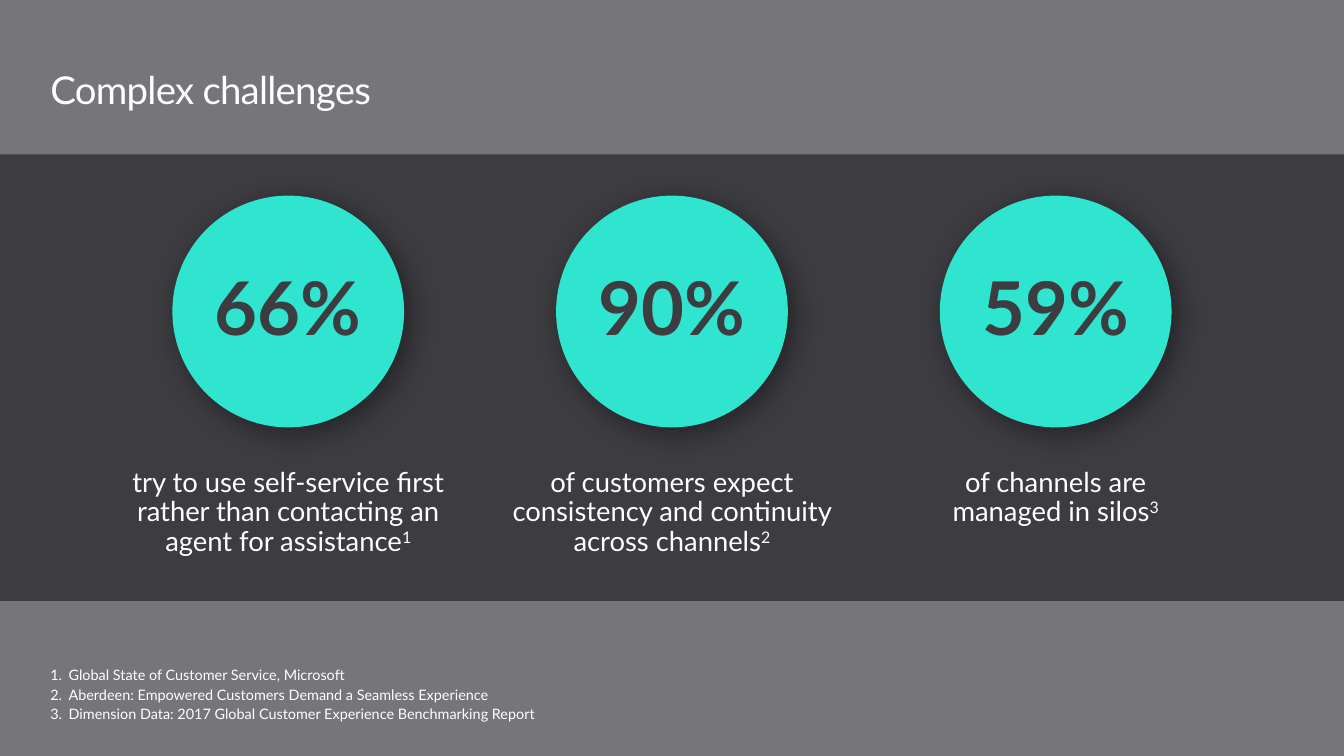
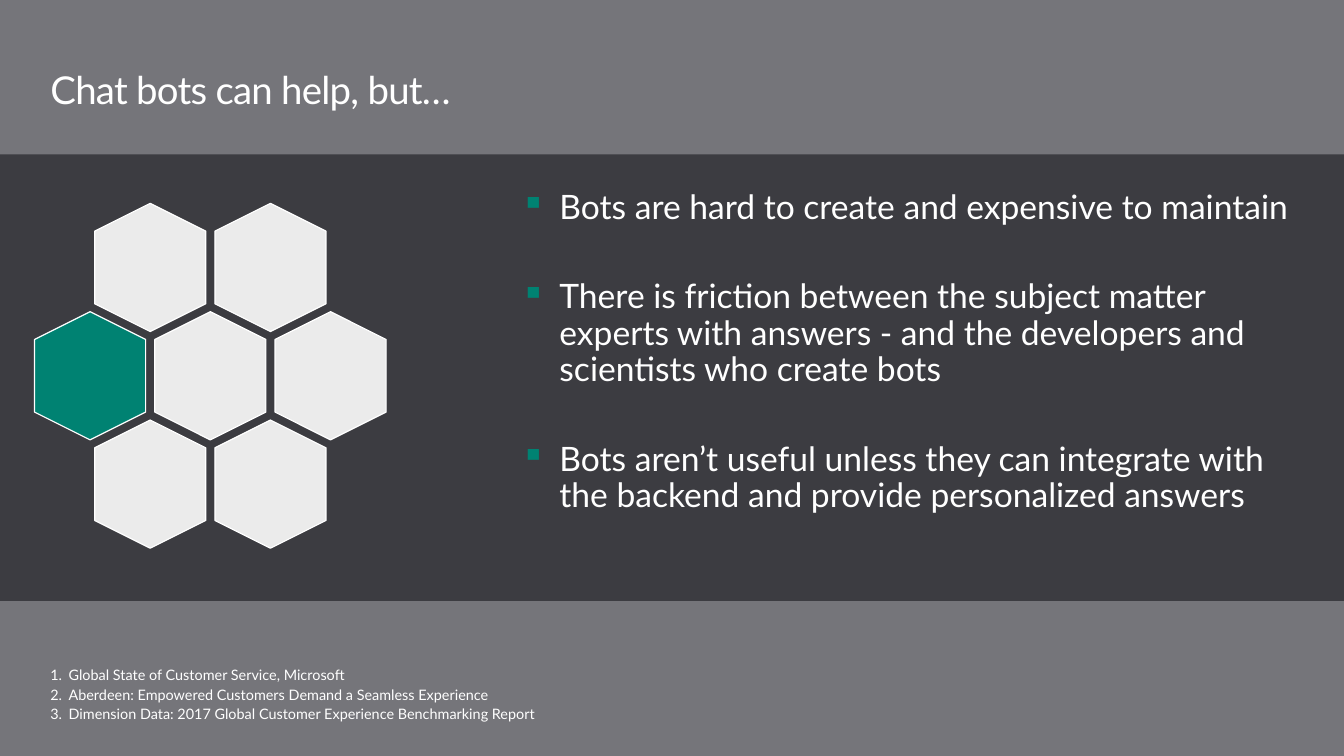
from lxml.etree import SubElement
from pptx import Presentation
from pptx.dml.color import RGBColor
from pptx.enum.shapes import MSO_SHAPE as Shape
from pptx.enum.text import MSO_ANCHOR as Anchor, MSO_AUTO_SIZE as AutoSize, PP_ALIGN as Align
from pptx.oxml.ns import qn
from pptx.util import Cm, Pt

# Content
CHALLENGES_TITLE = "Complex challenges"
STATISTICS = [  # figure, caption lines, reference number
    ("66%", ["try to use self-service first rather than contacting an agent for assistance"], "1"),
    ("90%", ["of customers expect consistency and continuity across channels"], "2"),
    ("59%", ["of channels are", "managed in silos"], "3"),
]
BOTS_TITLE = "Chat bots can help, but…"
BOT_PROBLEMS = [
    "Bots are hard to create and expensive to maintain",
    "There is friction between the subject matter experts with answers - "
    "and the developers and scientists who create bots",
    "Bots aren’t useful unless they can integrate with the backend "
    "and provide personalized answers",
]
REFERENCES = [
    "Global State of Customer Service, Microsoft",
    "Aberdeen: Empowered Customers Demand a Seamless Experience",
    "Dimension Data: 2017 Global Customer Experience Benchmarking Report",
]

# Shared style
COLORS = {
    "background": "75757A",
    "band": "3C3C41",
    "text": "FFFFFF",
    "circle": "30E5D0",
    "accent": "008272",
    "cell": "EBEBEB",
    "shadow": "000000",
}
FONT = "Lato"
SLIDE_WIDTH, SLIDE_HEIGHT = 33.87, 19.05
MARGIN = 1.27

# Statistics layout, in centimetres
CIRCLE_SIZE, CIRCLE_TOP, CIRCLE_PITCH = 5.84, 4.93, 9.67
CAPTION_WIDTH, CAPTION_TOP, CAPTION_HEIGHT = 8.84, 11.68, 2.5

# Honeycomb layout, in centimetres
HONEYCOMB_ROWS = [2, 3, 2]
HONEYCOMB_CENTER = (5.3, 9.47)
CELL_PITCH = (3.03, 2.73)
CELL_SIZE = (3.23, 2.8)
ACCENT_CELL = (1, 0)


def color(name):
    return RGBColor.from_string(COLORS[name])


def format_run(run, size, color_name="text", bold=False):
    run.font.name = FONT
    run.font.size = Pt(size)
    run.font.bold = bold
    run.font.color.rgb = color(color_name)


def set_margins(frame, horizontal=0, vertical=0):
    frame.margin_left = frame.margin_right = Cm(horizontal)
    frame.margin_top = frame.margin_bottom = Cm(vertical)


def add_shape(slide, kind, left, top, width, height, fill):
    shape = slide.shapes.add_shape(kind, Cm(left), Cm(top), Cm(width), Cm(height))
    shape.shadow.inherit = False
    shape.fill.solid()
    shape.fill.fore_color.rgb = color(fill)
    shape.line.fill.background()
    return shape


def add_text_frame(slide, left, top, width, height, horizontal=0, vertical=0):
    frame = slide.shapes.add_textbox(Cm(left), Cm(top), Cm(width), Cm(height)).text_frame
    frame.word_wrap = True
    set_margins(frame, horizontal, vertical)
    return frame


def add_list(frame, items, size, indent, gap, bullet, attributes, bullet_color=None):
    """Fill a frame with hanging list items separated by a gap in points."""
    for index, item in enumerate(items):
        paragraph = frame.paragraphs[0] if index == 0 else frame.add_paragraph()
        paragraph.text = item
        properties = paragraph._p.get_or_add_pPr()
        properties.set("marL", str(Cm(indent)))
        properties.set("indent", str(-Cm(indent)))
        if bullet_color:
            holder = SubElement(properties, qn("a:buClr"))
            SubElement(holder, qn("a:srgbClr"), val=COLORS[bullet_color])
        SubElement(properties, qn(bullet), attributes)
        paragraph.line_spacing = 0.9
        if index:
            paragraph.space_before = Pt(gap)
        format_run(paragraph.runs[0], size)


def add_soft_shadow(shape):
    effects = shape._element.spPr.find(qn("a:effectLst"))
    shadow = SubElement(effects, qn("a:outerShdw"), blurRad=str(Pt(20)), dist=str(Pt(6)),
                        dir=str(45 * 60000), algn="tl", rotWithShape="0")
    tint = SubElement(shadow, qn("a:srgbClr"), val=COLORS["shadow"])
    SubElement(tint, qn("a:alpha"), val="40000")


def add_base_slide(presentation, title_text):
    """Add a slide with its title, references and dark band."""
    slide = presentation.slides.add_slide(presentation.slide_layouts[5])
    slide.background.fill.solid()
    slide.background.fill.fore_color.rgb = color("background")

    title = slide.shapes.title
    title.left, title.top = Cm(MARGIN), Cm(1.73)
    title.width, title.height = Cm(31.39), Cm(1.12)
    frame = title.text_frame
    frame.text = title_text
    frame.auto_size = AutoSize.NONE
    frame.vertical_anchor = Anchor.TOP
    set_margins(frame)
    paragraph = frame.paragraphs[0]
    paragraph.alignment = Align.LEFT
    paragraph.line_spacing = Pt(31.4)
    run = paragraph.runs[0]
    format_run(run, 27.4)
    run._r.get_or_add_rPr().set("spc", "-50")

    references = add_text_frame(slide, MARGIN, 16.84, 15.11, 1.9)
    add_list(references, REFERENCES, 10.3, 0.46, 2.9, "a:buAutoNum", {"type": "arabicPeriod"})
    add_shape(slide, Shape.RECTANGLE, 0, 3.89, SLIDE_WIDTH, 11.25, "band")
    return slide


def add_statistic(slide, center, figure, lines, reference):
    circle = add_shape(slide, Shape.OVAL, center - CIRCLE_SIZE / 2, CIRCLE_TOP,
                       CIRCLE_SIZE, CIRCLE_SIZE, "circle")
    add_soft_shadow(circle)
    frame = circle.text_frame
    frame.text = figure
    frame.vertical_anchor = Anchor.MIDDLE
    set_margins(frame)
    paragraph = frame.paragraphs[0]
    paragraph.alignment = Align.CENTER
    paragraph.line_spacing = 0.9
    format_run(paragraph.runs[0], 52.9, "band", bold=True)

    caption = add_text_frame(slide, center - CAPTION_WIDTH / 2, CAPTION_TOP,
                             CAPTION_WIDTH, CAPTION_HEIGHT, vertical=0.13)
    paragraph = caption.paragraphs[0]
    paragraph.alignment = Align.CENTER
    paragraph.line_spacing = 0.9
    for index, line in enumerate(lines):
        if index:
            paragraph.add_line_break()
        paragraph.add_run().text = line
    mark = paragraph.add_run()
    mark.text = reference
    for run in paragraph.runs:
        format_run(run, 19.6)
    mark._r.get_or_add_rPr().set("baseline", "30000")


def add_honeycomb(slide):
    width, height = CELL_SIZE
    for row, count in enumerate(HONEYCOMB_ROWS):
        center_y = HONEYCOMB_CENTER[1] + (row - (len(HONEYCOMB_ROWS) - 1) / 2) * CELL_PITCH[1]
        for column in range(count):
            center_x = HONEYCOMB_CENTER[0] + (column - (count - 1) / 2) * CELL_PITCH[0]
            fill = "accent" if (row, column) == ACCENT_CELL else "cell"
            cell = add_shape(slide, Shape.HEXAGON, center_x - width / 2,
                             center_y - height / 2, width, height, fill)
            cell.rotation = 90
            cell.adjustments[0] = 0.25
            cell.line.color.rgb = color("text")
            cell.line.width = Pt(0.85)


def main():
    presentation = Presentation()
    presentation.slide_width = Cm(SLIDE_WIDTH)
    presentation.slide_height = Cm(SLIDE_HEIGHT)

    # Statistics in circles
    slide = add_base_slide(presentation, CHALLENGES_TITLE)
    for index, statistic in enumerate(STATISTICS):
        center = SLIDE_WIDTH / 2 + (index - (len(STATISTICS) - 1) / 2) * CIRCLE_PITCH
        add_statistic(slide, center, *statistic)

    # Honeycomb and bullet list
    slide = add_base_slide(presentation, BOTS_TITLE)
    add_honeycomb(slide)
    problems = add_text_frame(slide, 12.62, 4.39, 20.4, 11.13, 0.51, 0.41)
    add_list(problems, BOT_PROBLEMS, 24, 0.97, 38, "a:buChar", {"char": "▪"}, "accent")

    presentation.save("out.pptx")


if __name__ == "__main__":
    main()
